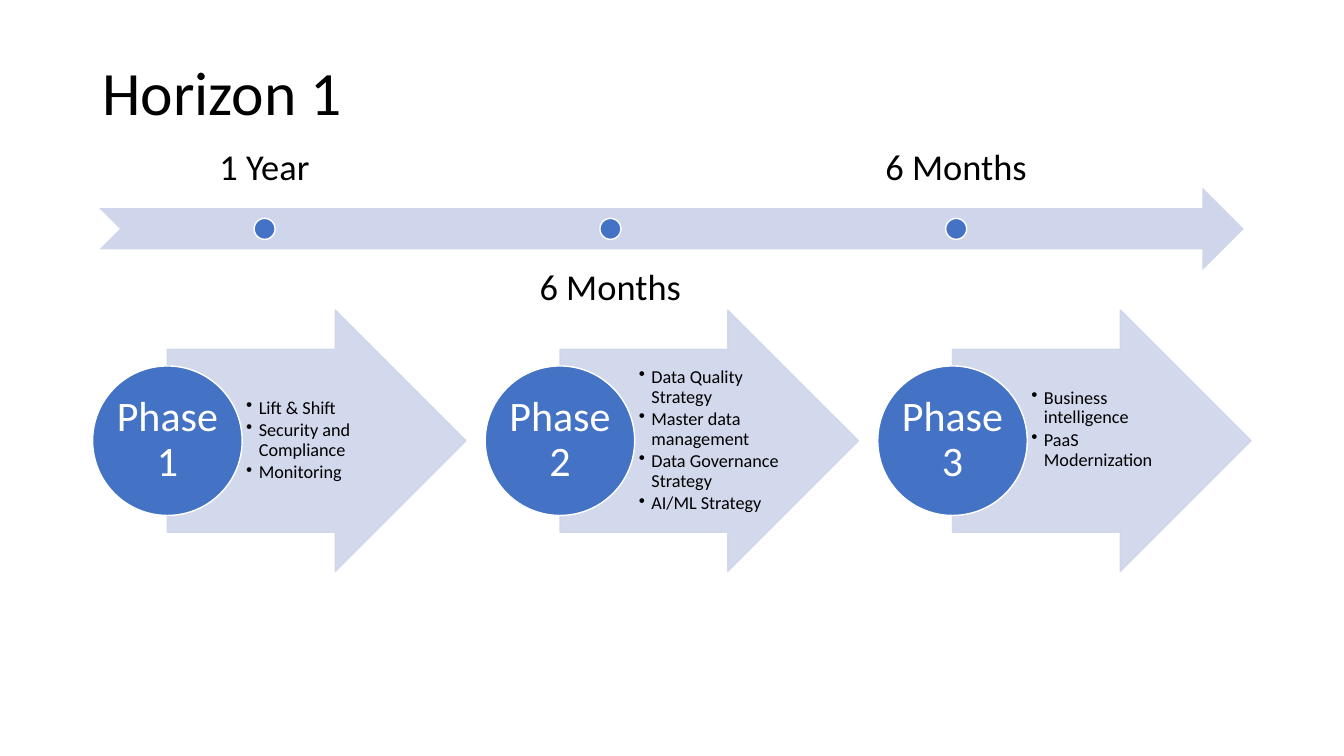
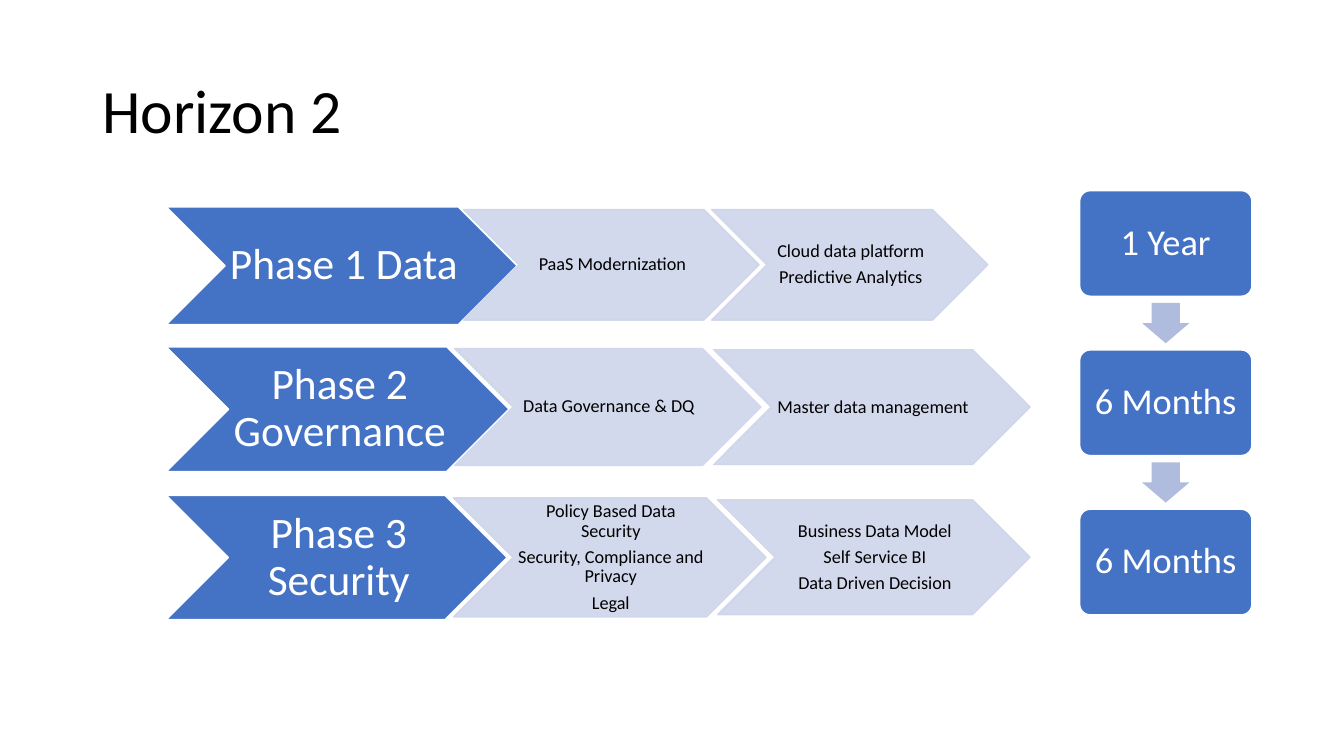
"""Builds two roadmap slides: Horizon 1 and Horizon 2."""
import dataclasses

import lxml.etree
import pptx
import pptx.dml.color
import pptx.enum.shapes
import pptx.enum.text
import pptx.oxml.ns
import pptx.util

Pt = pptx.util.Pt
SHAPE = pptx.enum.shapes.MSO_SHAPE
ANCHOR = pptx.enum.text.MSO_ANCHOR
ALIGN = pptx.enum.text.PP_ALIGN
qn = pptx.oxml.ns.qn


@dataclasses.dataclass(frozen=True)
class Theme:
    font: str = "Calibri"
    black: str = "000000"
    white: str = "FFFFFF"
    blue: str = "4472C4"
    pale: str = "CFD5EA"
    arrow: str = "B0BCDE"
    title_size: int = 44
    chevron_size: int = 31
    phase_size: int = 30
    duration_size: int = 26
    detail_size: int = 13
    pale_alpha: int = 90


THEME = Theme()
DURATIONS = ["1 Year", "6 Months", "6 Months"]

PHASES = [
    ("Phase 1", ["Lift & Shift", "Security and Compliance", "Monitoring"], 0.7),
    ("Phase 2", ["Data Quality Strategy", "Master data management",
                 "Data Governance Strategy", "AI/ML Strategy"], 0.7),
    ("Phase 3", ["Business intelligence", "PaaS Modernization"], 17),
]

CHEVRON_ROWS = [
    [(["Phase 1 Data"], (118.8, 147.8, 250.6, 84)),
     (["PaaS Modernization"], (331.2, 149.6, 211, 79)),
     (["Cloud data platform", "Predictive Analytics"], (508.3, 149.6, 197.3, 79))],
    [(["Phase 2 Governance"], (118.8, 247.8, 244.8, 89)),
     (["Data Governance & DQ"], (324.7, 249, 218.9, 83.5)),
     (["Master data management"], (509.8, 249.8, 226, 82))],
    [(["Phase 3 Security"], (118.8, 354, 243.4, 88.6)),
     (["Policy Based Data Security", "Security, Compliance and Privacy", "Legal"],
      (324, 355.6, 223.2, 85)),
     (["Business Data Model", "Self Service BI", "Data Driven Decision"],
      (512.6, 357, 223.2, 82))],
]


def color(value):
    return pptx.dml.color.RGBColor.from_string(value)


def write(shape, lines, size, ink, insets=(0, 0, 0, 0), anchor=ANCHOR.MIDDLE,
          align=ALIGN.CENTER, after=0.35, bullet_indent=None):
    frame = shape.text_frame
    frame.text = "\n".join(lines)
    frame.word_wrap = True
    frame.vertical_anchor = anchor
    (frame.margin_left, frame.margin_top,
     frame.margin_right, frame.margin_bottom) = map(Pt, insets)
    for paragraph in frame.paragraphs:
        paragraph.alignment = align
        paragraph.line_spacing = 0.9
        paragraph.space_after = Pt(round(after * size, 2))
        for run in paragraph.runs:
            run.font.name = THEME.font
            run.font.size = Pt(size)
            run.font.color.rgb = color(ink)
        if bullet_indent:
            properties = paragraph._p.get_or_add_pPr()
            properties.set("marL", str(Pt(bullet_indent)))
            properties.set("indent", str(-Pt(bullet_indent)))
            lxml.etree.SubElement(properties, qn("a:buChar")).set("char", "•")


def add_text(slide, box, *args, **options):
    shape = slide.shapes.add_textbox(*map(Pt, box))
    write(shape, *args, **options)


def add_shape(slide, kind, box, fill, line=None, adjustments=()):
    shape = slide.shapes.add_shape(kind, *map(Pt, box))
    shape.shadow.inherit = False
    for index, value in enumerate(adjustments):
        shape.adjustments[index] = value
    shape.fill.solid()
    shape.fill.fore_color.rgb = color(fill)
    if line:
        shape.line.color.rgb = color(line)
        shape.line.width = Pt(1)
    else:
        shape.line.fill.background()
    if fill == THEME.pale and line:
        for node in shape._element.spPr.iter(qn("a:srgbClr")):
            alpha = lxml.etree.SubElement(node, qn("a:alpha"))
            alpha.set("val", str(THEME.pale_alpha * 1000))
    return shape


def add_slide(presentation, title, title_height):
    slide = presentation.slides.add_slide(presentation.slide_layouts[6])
    add_text(slide, (66, 28.8, 828, title_height), [title], THEME.title_size, THEME.black,
             (7.2, 3.6, 7.2, 3.6), align=ALIGN.LEFT, after=0)
    return slide


def add_phases(slide):
    diameter, middle, pitch = 106.8, 314.8, 280.4
    arrow_width, arrow_height, shaft = 213.2, 186.6, 0.7
    for index, (name, items, bottom_inset) in enumerate(PHASES):
        left = 66.2 + index * pitch
        add_shape(slide, SHAPE.RIGHT_ARROW,
                  (left + diameter / 2, middle - arrow_height / 2, arrow_width, arrow_height),
                  THEME.pale, THEME.pale, (shaft, 0.5))
        text_height = arrow_height * shaft
        add_text(slide, (left + diameter, middle - text_height / 2, 104.4, text_height),
                 items, THEME.detail_size, THEME.black, (2.9, 0.7, 1.4, bottom_inset),
                 align=ALIGN.LEFT, after=0.15, bullet_indent=9)
        circle = add_shape(slide, SHAPE.OVAL,
                           (left, middle - diameter / 2, diameter, diameter),
                           THEME.blue, THEME.white)
        write(circle, [name], THEME.phase_size, THEME.white, (1.4, 1.4, 1.4, 1.4))


def add_timeline(slide):
    middle, dot, label_width, label_height = 163.5, 15, 235.4, 59
    add_shape(slide, SHAPE.NOTCHED_RIGHT_ARROW,
              (71, middle - label_height / 2, 817.4, label_height), THEME.pale)
    for index, duration in enumerate(DURATIONS):
        center = 189 + index * 247
        above = index % 2 == 0
        add_text(slide, (center - label_width / 2, 89.3 if above else 177.8,
                         label_width, label_height),
                 [duration], THEME.duration_size, THEME.black, (14.4,) * 4,
                 anchor=ANCHOR.BOTTOM if above else ANCHOR.TOP)
        add_shape(slide, SHAPE.OVAL, (center - dot / 2, middle - dot / 2, dot, dot),
                  THEME.blue, THEME.white)


def add_chevrons(slide):
    for row in CHEVRON_ROWS:
        for column, (lines, box) in enumerate(row):
            if column == 0:
                fill, line, ink, size = THEME.blue, THEME.white, THEME.white, THEME.chevron_size
                insets = (2.9, 1.4, 0, 1.4)
            else:
                fill, line, ink, size = THEME.pale, THEME.pale, THEME.black, THEME.detail_size
                insets = (1.4, 0.7, 0, 0.7)
            chevron = add_shape(slide, SHAPE.CHEVRON, box, fill, line)
            write(chevron, lines, size, ink, insets)


def add_durations(slide):
    left, first_top, width, height, pitch = 771.2, 136.2, 123, 75.4, 113.8
    arrow_width, arrow_height = 33.8, 28.8
    for index, duration in enumerate(DURATIONS):
        top = first_top + index * pitch
        if index:
            gap_middle = top - (pitch - height) / 2
            add_shape(slide, SHAPE.DOWN_ARROW,
                      (left + (width - arrow_width) / 2, gap_middle - arrow_height / 2,
                       arrow_width, arrow_height), THEME.arrow, adjustments=(0.6, 0.5))
        card = add_shape(slide, SHAPE.ROUNDED_RECTANGLE, (left, top, width, height),
                         THEME.blue, THEME.white, (0.1,))
        write(card, [duration], THEME.duration_size, THEME.white, (7.9,) * 4)


def main():
    presentation = pptx.Presentation()
    presentation.slide_width, presentation.slide_height = Pt(960), Pt(540)
    first = add_slide(presentation, "Horizon 1", 79.2)
    add_phases(first)
    add_timeline(first)
    second = add_slide(presentation, "Horizon 2", 104.4)
    add_chevrons(second)
    add_durations(second)
    presentation.save("out.pptx")


if __name__ == "__main__":
    main()
